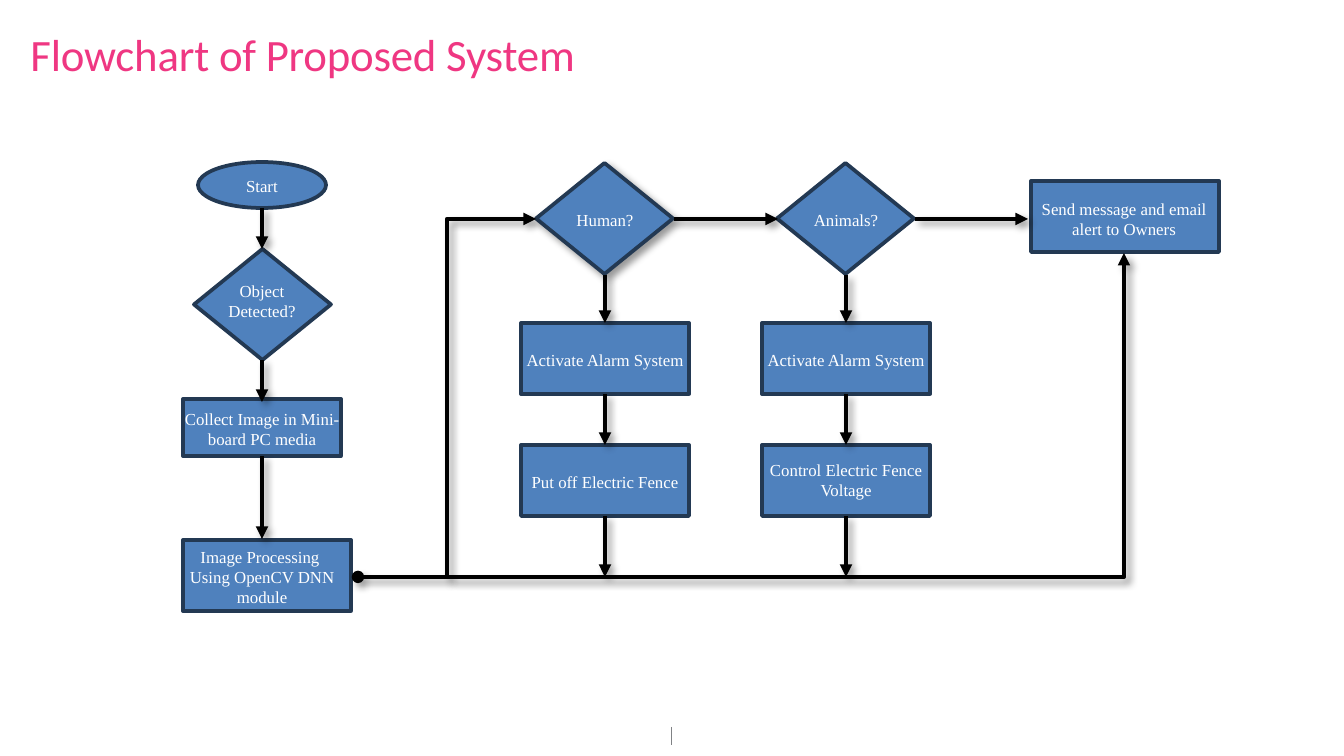
from lxml import etree
from pptx import Presentation
from pptx.dml.color import RGBColor
from pptx.enum.shapes import MSO_CONNECTOR, MSO_SHAPE
from pptx.enum.text import MSO_ANCHOR, MSO_AUTO_SIZE, PP_ALIGN
from pptx.oxml.ns import qn
from pptx.util import Emu, Pt

EMU_PER_PX = 914400 / 134.4
STRAIGHT, ELBOW = MSO_CONNECTOR.STRAIGHT, MSO_CONNECTOR.ELBOW
OVAL, DIAMOND, RECTANGLE = MSO_SHAPE.OVAL, MSO_SHAPE.DIAMOND, MSO_SHAPE.RECTANGLE
LEFT, CENTER = PP_ALIGN.LEFT, PP_ALIGN.CENTER
MIDDLE = MSO_ANCHOR.MIDDLE
NO_AUTOFIT = MSO_AUTO_SIZE.NONE

COLORS = {
    "title": "EF3782",
    "node": "4F81BD",
    "border": "233953",
    "label": "FFFFFF",
    "arrow": "000000",
    "tick": "808285",
}
TITLE_FONT = {"name": "Calibri", "size": Pt(24), "bold": False}
LABEL_FONT = {"name": "Times New Roman", "size": Pt(9), "bold": False}
FRAME_FORMAT = {"word_wrap": True, "auto_size": NO_AUTOFIT, "vertical_anchor": MIDDLE}
SHADOW = {"blurRad": "50800", "dist": "38100", "dir": "2700000", "algn": "tl", "rotWithShape": "0"}

INTAKE, HUMAN, ANIMAL, ALERT = 262, 605, 846, 1124
DECISION_Y, BUS_Y = 219, 577
ALARM_TOP, FENCE_TOP = 323, 445
NARROW, WIDE = 98, 192

NODES = [
    (OVAL, INTAKE, (198, 162, 128, 46), 186, NARROW, 1, ["Start"]),
    (DIAMOND, INTAKE, (194, 249, 137, 111), 301, NARROW, 2, ["Object Detected?"]),
    (RECTANGLE, INTAKE, (183, 399, 158, 57), 429, WIDE, 2, ["Collect Image in Mini-board PC media"]),
    (RECTANGLE, INTAKE, (183, 540, 168, 71), 577, WIDE, 3,
     ["Image Processing ", "Using OpenCV DNN module"]),
    (RECTANGLE, ALERT, (1031, 181, 188, 71), 219, WIDE, 2, ["Send message and email alert to Owners"]),
]
BRANCHES = [
    (HUMAN, "Human?", "Put off Electric Fence", 1),
    (ANIMAL, "Animals?", "Control Electric Fence Voltage", 2),
]
ARROWS = [
    (INTAKE, 208, INTAKE, 249),
    (INTAKE, 360, INTAKE, 402),
    (INTAKE, 456, INTAKE, 539),
    (674, DECISION_Y, 778, DECISION_Y),
    (915, DECISION_Y, 1028, DECISION_Y),
]
BRANCH_DROPS = [(275, ALARM_TOP), (394, FENCE_TOP), (516, BUS_Y)]


def px(*lengths):
    return [Emu(round(length * EMU_PER_PX)) for length in lengths]


def color(name):
    return RGBColor.from_string(COLORS[name])


def set_attributes(target, values):
    for name, value in values.items():
        setattr(target, name, value)


def write_text(frame, lines, font, color_name, alignment):
    set_attributes(frame, FRAME_FORMAT)
    frame.text = "\n".join(lines)
    for paragraph in frame.paragraphs:
        paragraph.alignment = alignment
        for run in paragraph.runs:
            set_attributes(run.font, font)
            run.font.color.rgb = color(color_name)


def add_shadow(shape):
    properties = shape._element.spPr
    effects = properties.find(qn("a:effectLst"))
    if effects is None:
        effects = etree.SubElement(properties, qn("a:effectLst"))
    outer = etree.SubElement(effects, qn("a:outerShdw"), SHADOW)
    black = etree.SubElement(outer, qn("a:srgbClr"), val="000000")
    etree.SubElement(black, qn("a:alpha"), val="40000")


def add_title(slide, text):
    title = slide.shapes.title
    box = zip(("left", "top", "width", "height"), px(17, 20, 689, 67))
    set_attributes(title, dict(box))
    write_text(title.text_frame, [text], TITLE_FONT, "title", LEFT)
    title.text_frame.paragraphs[0].runs[0]._r.get_or_add_rPr().set("spc", "-10")


def add_node(slide, kind, center_x, box, label_y, label_width, line_count, lines):
    group = slide.shapes.add_group_shape()
    shape = group.shapes.add_shape(kind, *px(*box))
    shape.shadow.inherit = False
    shape.fill.solid()
    shape.fill.fore_color.rgb = color("node")
    shape.line.color.rgb = color("border")
    shape.line.width = Pt(2)
    height = 14 + 20 * line_count
    label = group.shapes.add_textbox(
        *px(center_x - label_width / 2, label_y - height / 2, label_width, height))
    write_text(label.text_frame, lines, LABEL_FONT, "label", CENTER)
    return shape


def add_branch(slide, center_x, question, action, action_lines):
    diamond = add_node(slide, DIAMOND, center_x, (center_x - 69, 163, 137, 111),
                       DECISION_Y + 1, NARROW, 1, [question])
    steps = [(ALARM_TOP, "Activate Alarm System", 1), (FENCE_TOP, action, action_lines)]
    for top, text, line_count in steps:
        add_node(slide, RECTANGLE, center_x, (center_x - 84, top, 168, 71),
                 top + 37 if line_count == 1 else top + 35, WIDE, line_count, [text])
    return diamond


def add_line(slide, kind, ends, color_name, width):
    connector = slide.shapes.add_connector(kind, *px(*ends))
    connector.line.color.rgb = color(color_name)
    connector.line.width = Pt(width)
    return connector


def add_arrow(slide, ends, kind=STRAIGHT, start=None, geometry=None):
    connector = add_line(slide, kind, ends, "arrow", 2.25)
    properties = connector._element.spPr
    if geometry:
        properties.find(qn("a:prstGeom")).set("prst", geometry)
    line = properties.find(qn("a:ln"))
    if start:
        etree.SubElement(line, qn("a:headEnd"), type=start)
    etree.SubElement(line, qn("a:tailEnd"), type="triangle")
    add_shadow(connector)


def main():
    presentation = Presentation()
    presentation.slide_width, presentation.slide_height = px(1344, 756)
    slide = presentation.slides.add_slide(presentation.slide_layouts[5])
    tick = add_line(slide, STRAIGHT, (671, 727, 671, 745), "tick", 0.5)
    etree.SubElement(tick._element.spPr, qn("a:effectLst"))
    add_title(slide, "Flowchart of Proposed System")
    for node in NODES:
        add_node(slide, *node)
    diamonds = [add_branch(slide, *branch) for branch in BRANCHES]
    add_shadow(diamonds[0])
    for ends in ARROWS:
        add_arrow(slide, ends)
    add_arrow(slide, (358, BUS_Y, 536, DECISION_Y), ELBOW, start="oval")
    add_arrow(slide, (447, BUS_Y, ALERT, 253), ELBOW, geometry="bentConnector2")
    for center_x in (HUMAN, ANIMAL):
        for top, bottom in BRANCH_DROPS:
            add_arrow(slide, (center_x, top, center_x, bottom))
    presentation.save("out.pptx")


if __name__ == "__main__":
    main()
